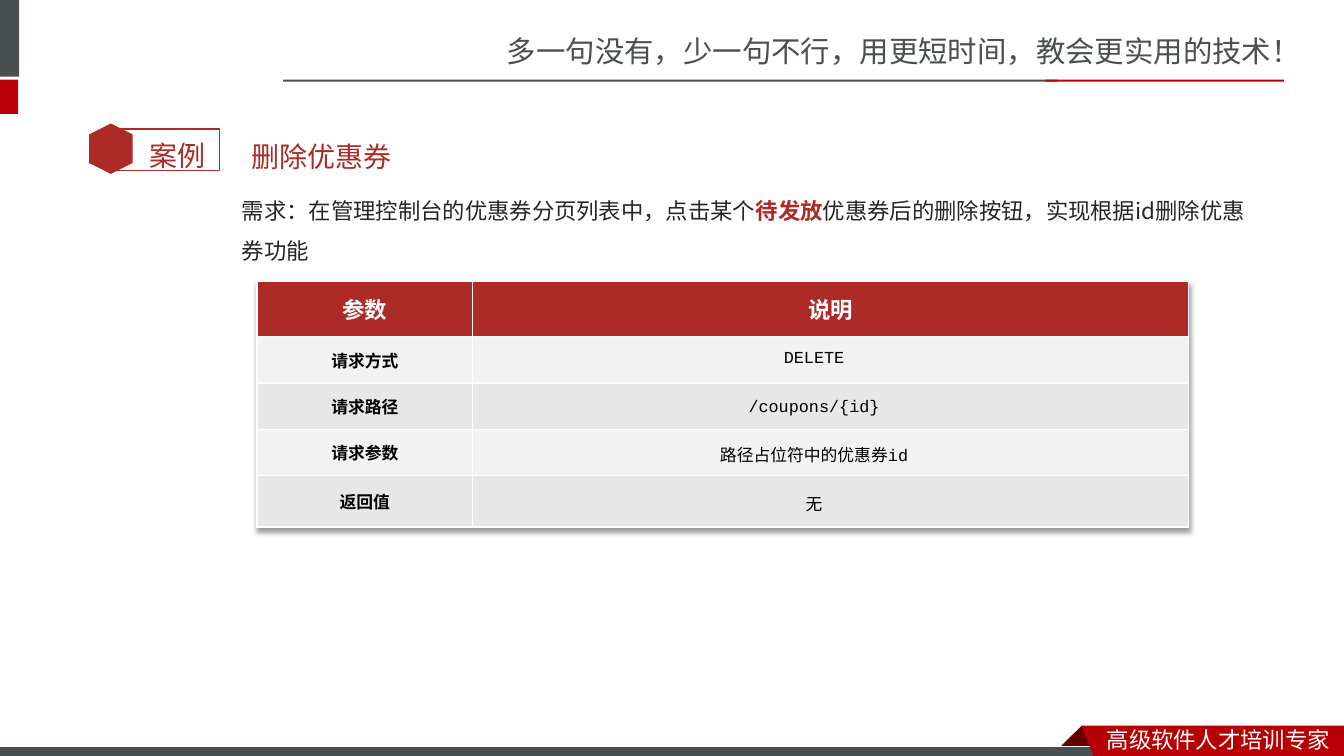
from lxml import etree
from pptx import Presentation
from pptx.dml.color import RGBColor as RGB
from pptx.enum.shapes import MSO_SHAPE as Shape
from pptx.enum.text import MSO_ANCHOR as Anchor, PP_ALIGN as Align
from pptx.oxml.ns import qn
from pptx.util import Pt

GRAY, RED, BRICK, WHITE, BLACK = "49504F", "B60004", "AD2B26", "FFFFFF", "000000"
SANS, MONO = "Noto Sans CJK SC", "Courier New"

deck = Presentation()
deck.slide_width, deck.slide_height = Pt(960), Pt(540)
slide = deck.slides.add_slide(deck.slide_layouts[6])
shapes = slide.shapes


def paint(shape, fill=None, line=None, width=1):
    shape.shadow.inherit = False
    if fill:
        shape.fill.solid()
        shape.fill.fore_color.rgb = RGB.from_string(fill)
    else:
        shape.fill.background()
    if line:
        shape.line.color.rgb = RGB.from_string(line)
        shape.line.width = Pt(width)
    else:
        shape.line.fill.background()


def write(frame, runs, size, font, align=Align.LEFT, space=None, before=None):
    frame.word_wrap = True
    para = frame.paragraphs[0]
    para.alignment = align
    if space:
        para.line_spacing = space
    if before:
        para.space_before = Pt(before)
    for text, color, bold in runs:
        run = para.add_run()
        run.text = text
        run.font.size, run.font.name, run.font.bold = Pt(size), font, bold
        run.font.color.rgb = RGB.from_string(color)
        # Typeface for the Chinese characters
        face = etree.SubElement(run.font._element, qn("a:ea"))
        face.set("typeface", SANS)


# Side marks and header rules
for box, fill in [
    ((-4.3, 0, 18, 54.7), GRAY),
    ((-4.3, 56.9, 17.3, 24.5), RED),
    ((202.3, 56.9, 553, 1.5), GRAY),
    ((746.6, 56.9, 170.6, 1.5), RED),
]:
    paint(shapes.add_shape(Shape.RECTANGLE, *map(Pt, box)), fill)

# Footer: fold, bar and ribbon
fold = [(772.6, 518.4), (788.4, 534.2), (787.7, 535), (757.4, 535), (756.7, 534.2)]
ribbon = [(772.6, 518.4), (960, 518.4), (960, 542.9), (781.9, 542.2)]
for points, fill in [(fold, "680000"), (ribbon, RED)]:
    spots = [(Pt(x), Pt(y)) for x, y in points]
    form = shapes.build_freeform(*spots[0])
    form.add_line_segments(spots[1:], close=True)
    paint(form.convert_to_shape(), fill)
    if points is fold:
        bar = shapes.add_shape(Shape.RECTANGLE, Pt(-0.7), Pt(533.5), Pt(792), Pt(8.6))
        paint(bar, GRAY, WHITE, 0.75)

# Case badge
frame = shapes.add_shape(Shape.RECTANGLE, Pt(78.5), Pt(92.2), Pt(78.5), Pt(29.5))
paint(frame, line=BRICK)
hexa = shapes.add_shape(Shape.HEXAGON, Pt(61.2), Pt(90.7), Pt(36), Pt(31))
hexa.rotation = 90
paint(hexa, BRICK)

# Header, footer and badge texts
for box, text, color, size, font, space in [
    ((355, 20.2, 605.5, 33.8), "多一句没有，少一句不行，用更短时间，教会更实用的技术！", GRAY, 21, SANS, None),
    ((783.4, 514.8, 176.4, 26.6), "高级软件人才培训专家", WHITE, 16, SANS, None),
    ((99.4, 83.5, 61.2, 40.3), "案例", BRICK, 20, "Arial", 1.5),
]:
    label = shapes.add_textbox(*map(Pt, box))
    write(label.text_frame, [(text, color, False)], size, font, space=space)

# Title
title = shapes.add_textbox(Pt(172.8), Pt(74.2), Pt(470), Pt(50.4)).text_frame
title.vertical_anchor = Anchor.MIDDLE
write(title, [("删除优惠券", BRICK, False)], 20, "Roboto", space=2.0, before=4)

# Requirement
need = shapes.add_textbox(Pt(172.8), Pt(127.4), Pt(725.8), Pt(51.1)).text_frame
need.margin_left = need.margin_right = 0
write(need, [
    ("需求：在管理控制台的优惠券分页列表中，点击某个", "262626", False),
    ("待发放", BRICK, True),
    ("优惠券后的删除按钮，实现根据id删除优惠券功能", "262626", False),
], 16, "Noto Sans CJK JP", space=1.5, before=3.2)

# Parameter table
rows = [("参数", "说明"), ("请求方式", ""), ("请求路径", ""), ("请求参数", ""), ("返回值", "")]
tall = [39.6, 33.1, 33.1, 33.1, 36.7]
grid = shapes.add_table(5, 2, Pt(183.6), Pt(200.9), Pt(665.3), Pt(sum(tall))).table
grid.columns[0].width, grid.columns[1].width = Pt(154.1), Pt(511.2)
for r, row in enumerate(rows):
    grid.rows[r].height = Pt(tall[r])
    for c, text in enumerate(row):
        cell = grid.cell(r, c)
        cell.vertical_anchor = Anchor.MIDDLE
        cell.fill.solid()
        fill = BRICK if r == 0 else ("E7E7E7", "F2F2F2")[r % 2]
        cell.fill.fore_color.rgb = RGB.from_string(fill)
        if text:
            color, size = (WHITE, 16) if r == 0 else (BLACK, 12)
            write(cell.text_frame, [(text, color, True)], size, MONO, Align.CENTER)

# Table shadow
effect = etree.Element(qn("a:effectLst"))
shade = etree.SubElement(effect, qn("a:outerShdw"), blurRad="50800", dist="38100",
                         dir="5400000", algn="t", rotWithShape="0")
tone = etree.SubElement(shade, qn("a:prstClr"), val="black")
etree.SubElement(tone, qn("a:alpha"), val="40000")
grid._tbl.tblPr.insert(0, effect)

# Values over the second column
values = ["DELETE", "/coupons/{id}", "路径占位符中的优惠券id", "无"]
for i, text in enumerate(values):
    value = shapes.add_textbox(Pt(458), Pt(244.1 + 35 * i), Pt(247), Pt(21.6))
    write(value.text_frame, [(text, BLACK, False)], 12, MONO, Align.CENTER)

deck.save("out.pptx")
